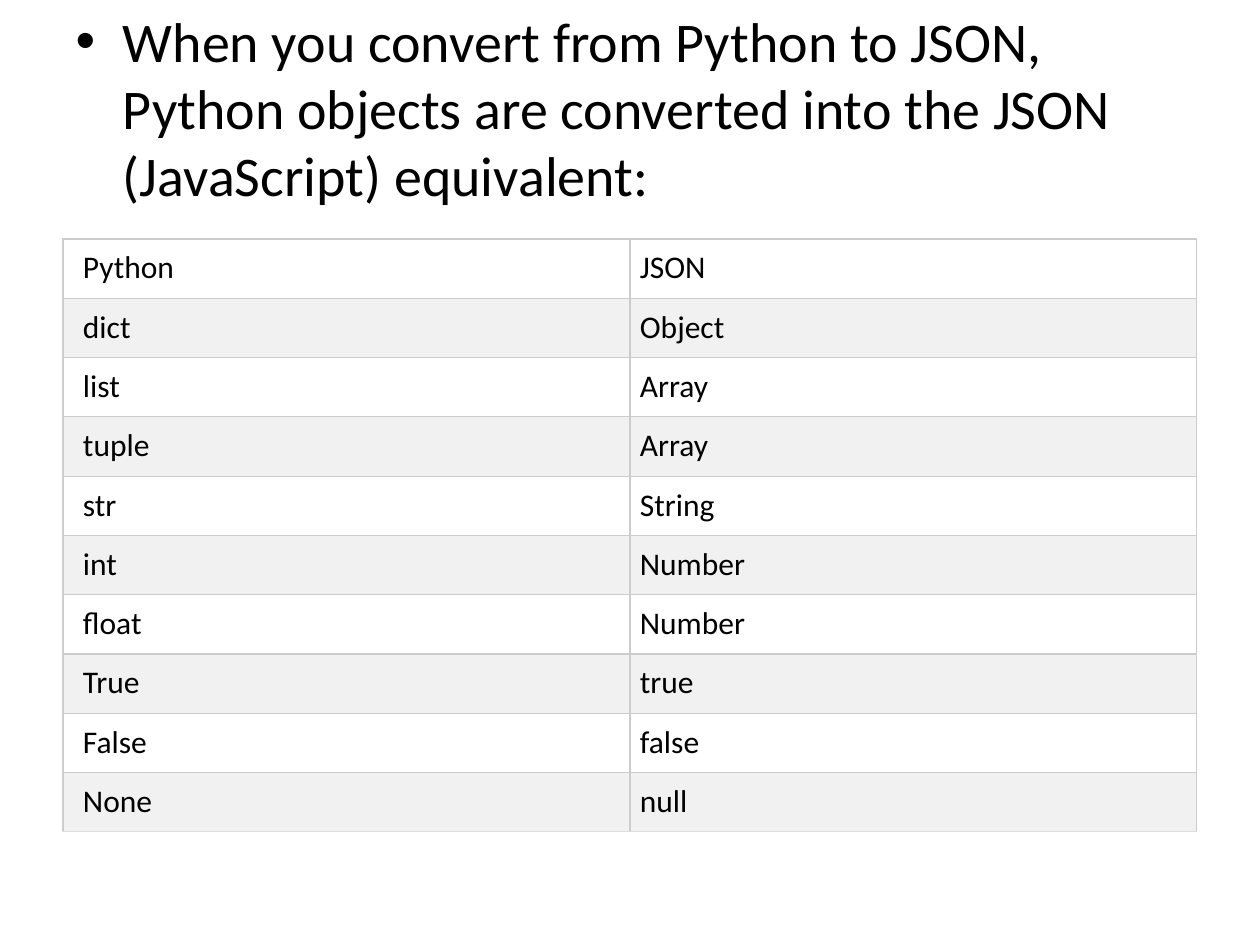
from lxml.etree import SubElement
from pptx import Presentation
from pptx.dml.color import RGBColor
from pptx.enum.text import PP_ALIGN
from pptx.oxml.ns import qn
from pptx.util import Pt

PIXEL = 914400 // 126
FONT = "Calibri"
BLACK = RGBColor(0x00, 0x00, 0x00)
WHITE = RGBColor(0xFF, 0xFF, 0xFF)
BAND = RGBColor(0xF1, 0xF1, 0xF1)
RULE = RGBColor(0xCC, 0xCC, 0xCC)
LAST_RULE = RGBColor(0xDD, 0xDD, 0xDD)

INTRO = ("When you convert from Python to JSON, Python objects are converted "
         "into the JSON (JavaScript) equivalent:")
CONVERSIONS = [
    ("Python", "JSON"),
    ("dict", "Object"),
    ("list", "Array"),
    ("tuple", "Array"),
    ("str", "String"),
    ("int", "Number"),
    ("float", "Number"),
    ("True", "true"),
    ("False", "false"),
    ("None", "null"),
]


def px(pixels):
    return round(pixels * PIXEL)


def set_attributes(target, values):
    for name, value in values.items():
        setattr(target, name, value)


def format_font(font, size):
    set_attributes(font, {"name": FONT, "size": Pt(size), "bold": False})
    font.color.rgb = BLACK


def set_borders(cell, bottom_color):
    properties = cell._tc.get_or_add_tcPr()
    colors = {"a:lnL": RULE, "a:lnR": RULE, "a:lnT": RULE, "a:lnB": bottom_color}
    # Border lines must come before the cell fill
    for position, (tag, color) in enumerate(colors.items()):
        line = SubElement(properties, qn(tag), w=str(Pt(0.75)))
        fill = SubElement(line, qn("a:solidFill"))
        SubElement(fill, qn("a:srgbClr"), val=str(color))
        properties.insert(position, line)


def place_intro(slide, left, top, width, height):
    body = slide.placeholders[1]
    set_attributes(body, {"left": px(left), "top": px(top),
                          "width": px(width), "height": px(height)})
    body.text_frame.text = INTRO
    paragraph = body.text_frame.paragraphs[0]
    format_font(paragraph.runs[0].font, 32)


def place_conversion_table(slide, left, top, width, height):
    row_count, column_count = len(CONVERSIONS), len(CONVERSIONS[0])
    table = slide.shapes.add_table(row_count, column_count, px(left), px(top),
                                   px(width), px(height)).table
    set_attributes(table, {"first_row": False, "horz_banding": False})
    for row_index, texts in enumerate(CONVERSIONS):
        is_last = row_index == row_count - 1
        for column_index, text in enumerate(texts):
            cell = table.cell(row_index, column_index)
            set_attributes(cell, {
                "text": text,
                "margin_left": px(10 if column_index else 20),
                "margin_right": px(10),
                "margin_top": px(10),
                "margin_bottom": px(10),
            })
            cell.fill.solid()
            cell.fill.fore_color.rgb = BAND if row_index % 2 else WHITE
            set_borders(cell, LAST_RULE if is_last else RULE)
            paragraph = cell.text_frame.paragraphs[0]
            paragraph.alignment = PP_ALIGN.LEFT
            format_font(paragraph.runs[0].font, 18)


presentation = Presentation()
set_attributes(presentation, {"slide_width": px(1260), "slide_height": px(945)})
slide = presentation.slides.add_slide(presentation.slide_layouts[1])

# This slide has no title
title = slide.shapes.title.element
title.getparent().remove(title)

place_intro(slide, 63, 0, 1134, 844)
place_conversion_table(slide, 63, 239, 1134, 593)

presentation.save("out.pptx")
